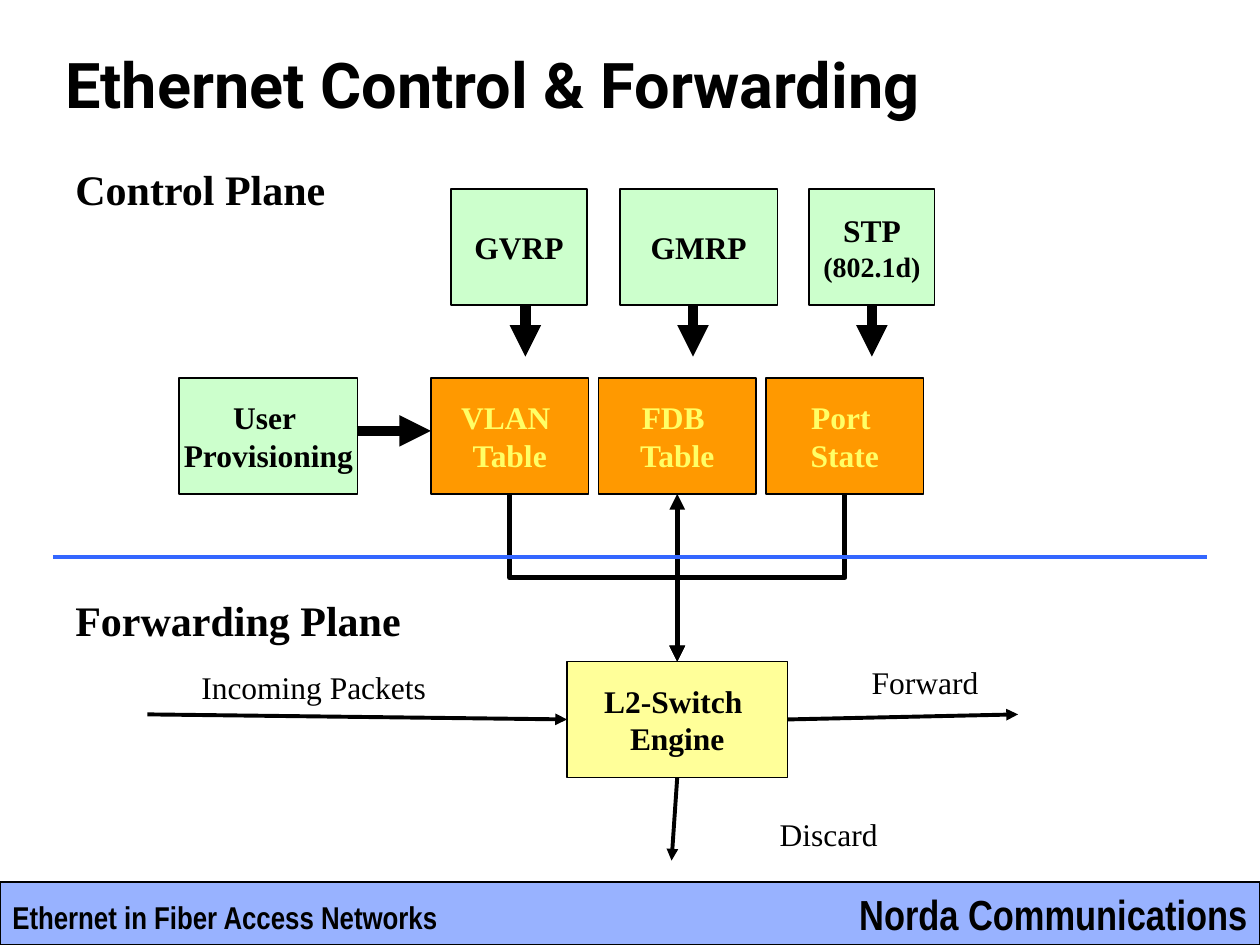
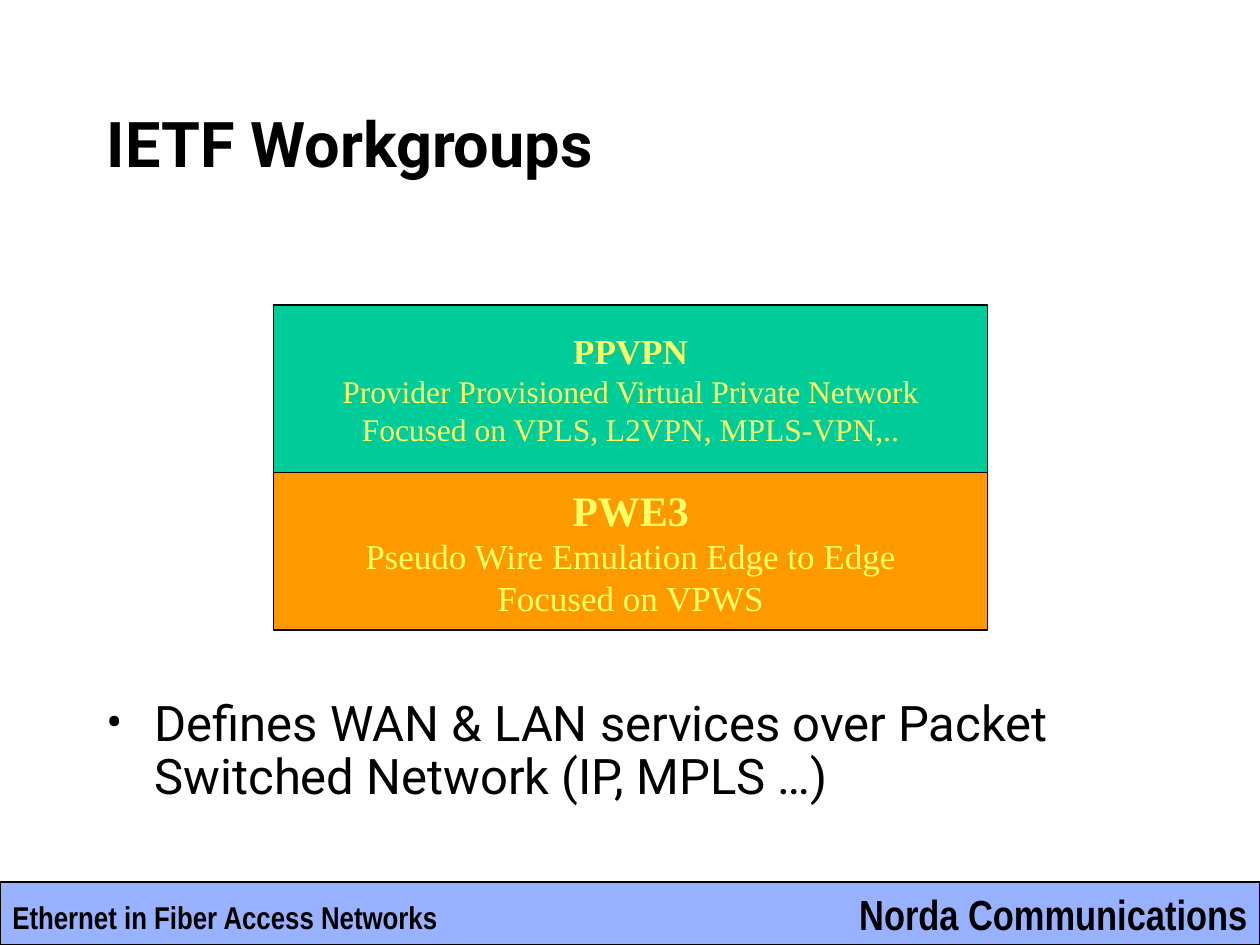
from pptx import Presentation
from pptx.dml.color import RGBColor
from pptx.enum.shapes import MSO_CONNECTOR, MSO_SHAPE
from pptx.enum.text import MSO_ANCHOR, PP_ALIGN
from pptx.oxml.ns import qn
from pptx.util import Inches, Pt
from lxml.etree import SubElement

# Shared look
BLACK, BLUE, YELLOW = "000000", "3366FF", "FFFF66"
GREEN, ORANGE, CREAM, TEAL = "CCFFCC", "FF9900", "FFFF99", "00CC99"
SERIF, SANS, NARROW = "Times New Roman", "Roboto", "Arial Narrow"
FOOTERS = [
    ("Norda Communications", (6.4, 7, 3.6, 0.5), 24, PP_ALIGN.RIGHT),
    ("Ethernet in Fiber Access Networks", (0, 7.08, 3.8, 0.4), 18, PP_ALIGN.LEFT),
]

# Slide 1: lines of text are (wording, size, bold)
BOX_HEIGHT = 0.92
PROTOCOL_TOP, TABLE_TOP, ENGINE_TOP = 1.5, 3, 5.25
ARROW_END = 2.83
TABLE_LEFT, TABLE_STEP, TABLE_WIDTH = 3.42, 1.33, 1.25
PROTOCOLS = [  # left, width, arrow x, lines
    (3.58, 1.08, 4.17, [("GVRP", 18, True)]),
    (4.92, 1.25, 5.5, [("GMRP", 18, True)]),
    (6.42, 1, 6.92, [("STP", 18, True), ("(802.1d)", 16, True)]),
]
TABLES = [("VLAN ", "Table"), ("FDB ", "Table"), ("Port ", "State")]
LABELS = [  # wording, position, size, bold
    ("Control Plane", (0.5, 1.25, 2.4, 0.5), 24, True),
    ("Forwarding Plane", (0.5, 4.67, 3, 0.5), 24, True),
    ("Incoming Packets", (1.5, 5.25, 2.2, 0.4), 18, False),
    ("Forward", (6.82, 5.21, 1.2, 0.4), 18, False),
    ("Discard", (6.09, 6.42, 1.2, 0.4), 18, False),
]

# Slide 2
WORKGROUPS = [  # top, height, fill, lines
    (2.42, 1.33, TEAL, [
        ("PPVPN", 20, True),
        ("Provider Provisioned Virtual Private Network", 18, False),
        ("Focused on VPLS, L2VPN, MPLS-VPN,..", 18, False)]),
    (3.75, 1.25, ORANGE, [
        ("PWE3", 24, True),
        ("Pseudo Wire Emulation Edge to Edge", 20, False),
        ("Focused on VPWS", 20, False)]),
]
SUMMARY = "Defines WAN & LAN services over Packet Switched Network (IP, MPLS …)"


def rgb(color):
    return RGBColor.from_string(color)


def inches(values):
    return [Inches(value) for value in values]


def style(para, size, bold, face, color):
    para.font.size, para.font.bold, para.font.name = Pt(size), bold, face
    para.font.color.rgb = rgb(color)


def add_text(page, text, place, size, bold, face=SERIF,
             align=PP_ALIGN.LEFT, anchor=MSO_ANCHOR.TOP):
    frame = page.shapes.add_textbox(*inches(place)).text_frame
    frame.word_wrap, frame.vertical_anchor = True, anchor
    para = frame.paragraphs[0]
    para.text, para.alignment = text, align
    style(para, size, bold, face, BLACK)
    return para


def add_box(page, place, fill, lines=(), color=BLACK):
    box = page.shapes.add_shape(MSO_SHAPE.RECTANGLE, *inches(place))
    box.shadow.inherit = False
    box.fill.solid()
    box.fill.fore_color.rgb = rgb(fill)
    box.line.color.rgb, box.line.width = rgb(BLACK), Pt(0.75)
    frame = box.text_frame
    frame.word_wrap, frame.vertical_anchor = False, MSO_ANCHOR.MIDDLE
    for index, (text, size, bold) in enumerate(lines):
        para = frame.add_paragraph() if index else frame.paragraphs[0]
        para.text, para.alignment = text, PP_ALIGN.CENTER
        style(para, size, bold, SERIF, color)
    return box


def add_line(page, start, end, width, color=BLACK, heads=("tailEnd",),
             kind=MSO_CONNECTOR.STRAIGHT):
    """Each end is an (x, y) point or a (box, side) pair."""
    points = [end_point if isinstance(end_point[0], (int, float)) else (0, 0)
              for end_point in (start, end)]
    line = page.shapes.add_connector(kind, *inches(points[0] + points[1]))
    if points[0] != start:
        line.begin_connect(*start)
    if points[1] != end:
        line.end_connect(*end)
    line.line.color.rgb, line.line.width = rgb(color), Pt(width)
    for head in heads:
        SubElement(line.line._get_or_add_ln(), qn(f"a:{head}"), type="triangle")
    SubElement(line.element.spPr, qn("a:effectLst"))
    return line


def add_page(deck, title, title_place):
    page = deck.slides.add_slide(deck.slide_layouts[6])
    band = add_box(page, (0, 7, 10, 0.5), BLUE)
    fill_color = band.element.spPr.find(qn("a:solidFill"))[0]
    SubElement(fill_color, qn("a:alpha"), val="50000")
    for text, place, size, align in FOOTERS:
        add_text(page, text, place, size, True, NARROW, align)
    add_text(page, title, title_place, 36, True, SANS, anchor=MSO_ANCHOR.MIDDLE)
    return page


def build_control_slide(deck):
    page = add_page(deck, "Ethernet Control & Forwarding", (0.42, 0.33, 8.5, 0.67))

    # Control plane boxes and their thick arrows
    add_box(page, (1.42, TABLE_TOP, 1.42, BOX_HEIGHT), GREEN,
            [("User ", 18, True), ("Provisioning", 18, True)])
    tables = [
        add_box(page, (TABLE_LEFT + index * TABLE_STEP, TABLE_TOP, TABLE_WIDTH, BOX_HEIGHT),
                ORANGE, [(word, 18, True) for word in words], YELLOW)
        for index, words in enumerate(TABLES)]
    add_line(page, (2.83, 3.42), (TABLE_LEFT, 3.42), 6)
    for left, width, arrow_x, lines in PROTOCOLS:
        protocol = add_box(page, (left, PROTOCOL_TOP, width, BOX_HEIGHT), GREEN, lines)
        centered = abs(left + width / 2 - arrow_x) < 0.01
        start = (protocol, 2) if centered else (arrow_x, PROTOCOL_TOP + BOX_HEIGHT)
        add_line(page, start, (arrow_x, ARROW_END), 6)

    # Tables joined to the engine; outer elbows leave downwards
    engine = add_box(page, (4.5, ENGINE_TOP, 1.75, BOX_HEIGHT), CREAM,
                     [("L2-Switch ", 18, True), ("Engine", 18, True)])
    for table, turn, flip in ((tables[0], 270, "1"), (tables[2], 90, "0")):
        elbow = add_line(page, (table, 2), (engine, 0), 3, kind=MSO_CONNECTOR.ELBOW)
        frame = elbow.element.spPr.find(qn("a:xfrm"))
        frame.set("rot", str(turn * 60000))
        frame.set("flipH", flip)
    add_line(page, (tables[1], 2), (engine, 0), 3, heads=("headEnd", "tailEnd"))

    # Packet flow
    add_line(page, (1.17, 5.67), (engine, 1), 2.25)
    add_line(page, (engine, 3), (8.08, 5.67), 2.25)
    add_line(page, (engine, 2), (5.33, 6.83), 2.25)

    # Plane divider and labels
    add_line(page, (0.42, 4.42), (9.58, 4.42), 2.25, BLUE, heads=())
    for label in LABELS:
        add_text(page, *label)


def build_workgroup_slide(deck):
    page = add_page(deck, "IETF Workgroups", (0.75, 0.67, 8.5, 0.92))
    for top, height, fill, lines in WORKGROUPS:
        add_box(page, (2.17, top, 5.67, height), fill, lines, YELLOW)

    # Bulleted summary
    para = add_text(page, SUMMARY, (0.75, 5.5, 8.5, 1.25), 28, False, SANS)
    para.line_spacing = 0.9
    properties = para._p.get_or_add_pPr()
    properties.set("marL", str(Inches(0.38)))
    properties.set("indent", str(Inches(-0.38)))
    font_defaults = properties.find(qn("a:defRPr"))
    for tag, setting in (("a:buFont", {"typeface": SANS}), ("a:buChar", {"char": "•"})):
        font_defaults.addprevious(SubElement(properties, qn(tag), setting))


def main():
    deck = Presentation()
    deck.slide_width, deck.slide_height = Inches(10), Inches(7.5)
    build_control_slide(deck)
    build_workgroup_slide(deck)
    deck.save("out.pptx")


if __name__ == "__main__":
    main()
